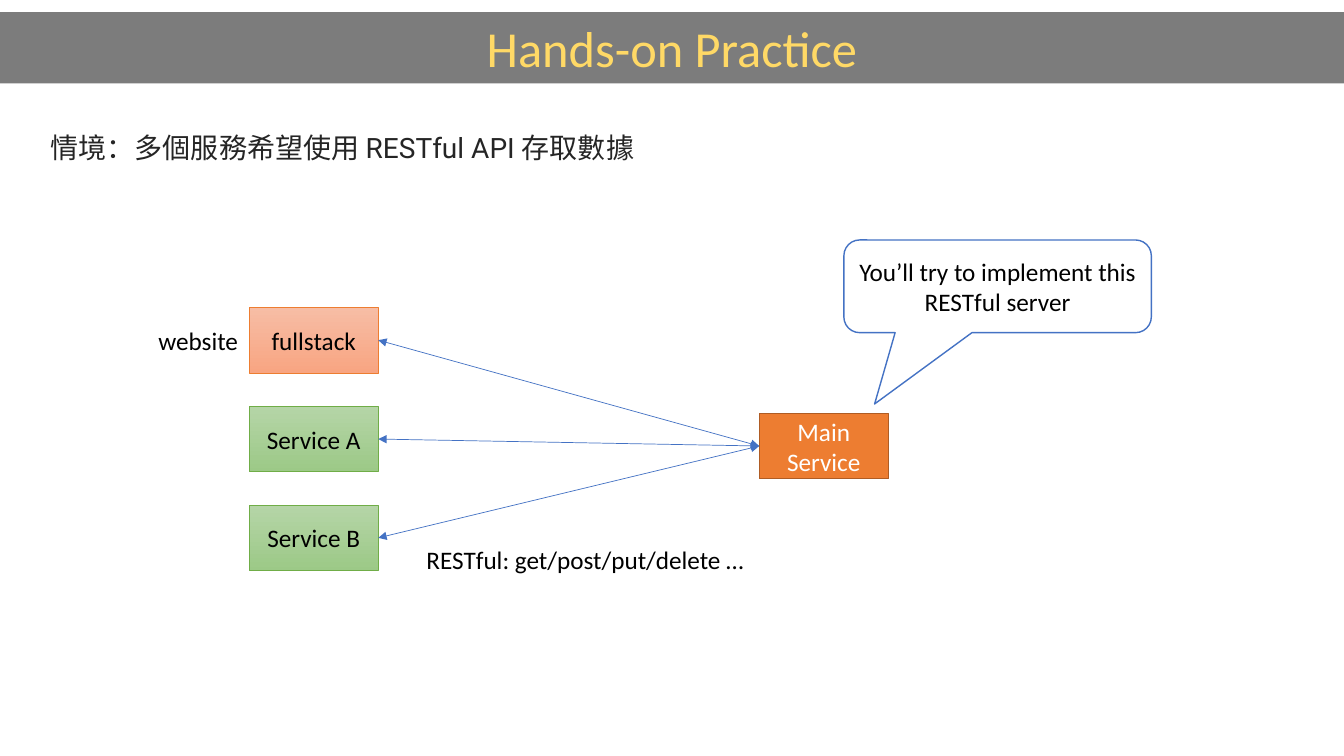
from lxml.etree import SubElement
from pptx import Presentation
from pptx.dml.color import RGBColor
from pptx.enum.shapes import MSO_CONNECTOR, MSO_SHAPE
from pptx.enum.text import MSO_ANCHOR, MSO_AUTO_SIZE, PP_ALIGN
from pptx.oxml.ns import qn
from pptx.util import Pt

GRAY = RGBColor(0x7C, 0x7C, 0x7C)
GOLD = RGBColor(0xFF, 0xD9, 0x66)
INK = RGBColor(0x25, 0x25, 0x25)
BLACK = RGBColor(0, 0, 0)
WHITE = RGBColor(0xFF, 0xFF, 0xFF)
BLUE = RGBColor(0x44, 0x72, 0xC4)
ORANGE = RGBColor(0xED, 0x7D, 0x31)
RUST = RGBColor(0xAF, 0x5C, 0x24)
PEACH = RGBColor(0xF7, 0xBD, 0xA5)
CORAL = RGBColor(0xF8, 0xA5, 0x82)
GREEN = RGBColor(0x70, 0xAD, 0x47)
MINT = RGBColor(0xB5, 0xD5, 0xA7)
LEAF = RGBColor(0x9C, 0xC9, 0x87)

WIDE, HIGH = 92.2, 46.8
PITCH = 70.6
RIGHT, LEFT = 3, 1


def write(shape, text, color=BLACK, size=18, font="Calibri",
          align=PP_ALIGN.CENTER, anchor=MSO_ANCHOR.MIDDLE, wrap=True):
    frame = shape.text_frame
    frame.text = text
    frame.word_wrap = wrap
    frame.auto_size = MSO_AUTO_SIZE.NONE
    frame.vertical_anchor = anchor
    para = frame.paragraphs[0]
    para.alignment = align
    para.line_spacing = 1.0
    para.font.size = Pt(size)
    para.font.name = font
    para.font.color.rgb = color


def add_title(slide, x, y, w, h):
    title = slide.shapes.title
    title.left, title.top, title.width, title.height = map(Pt, (x, y, w, h))
    title.fill.solid()
    title.fill.fore_color.rgb = GRAY
    write(title, "Hands-on Practice", GOLD, 36, anchor=MSO_ANCHOR.TOP)


def add_label(slide, text, x, y, w, h, **style):
    label = slide.shapes.add_textbox(*map(Pt, (x, y, w, h)))
    write(label, text, align=PP_ALIGN.LEFT, anchor=MSO_ANCHOR.TOP, **style)


def add_box(slide, text, x, y, w, h, fills, edge, width,
            color=BLACK, kind=MSO_SHAPE.RECTANGLE):
    box = slide.shapes.add_shape(kind, *map(Pt, (x, y, w, h)))
    box.shadow.inherit = False
    if len(fills) == 1:
        box.fill.solid()
        box.fill.fore_color.rgb = fills[0]
    else:
        box.fill.gradient()
        box.fill.gradient_angle = 270
        for stop, tint in zip(box.fill.gradient_stops, fills):
            stop.color.rgb = tint
    box.line.color.rgb = edge
    box.line.width = Pt(width)
    write(box, text, color)
    return box


def add_link(slide, start, end):
    link = slide.shapes.add_connector(MSO_CONNECTOR.STRAIGHT, 0, 0, 0, 0)
    link.begin_connect(start, RIGHT)
    link.end_connect(end, LEFT)
    link.line.color.rgb = BLUE
    link.line.width = Pt(0.5)
    props = link.line._get_or_add_ln()
    for tag in ("a:headEnd", "a:tailEnd"):
        SubElement(props, qn(tag), type="triangle")
    SubElement(link._element.spPr, qn("a:effectLst"))


def add_flow(slide, x, y):
    clients = (
        ("fullstack", (PEACH, CORAL), ORANGE),
        ("Service A", (MINT, LEAF), GREEN),
        ("Service B", (MINT, LEAF), GREEN),
    )
    boxes = [add_box(slide, text, x, y + row * PITCH, WIDE, HIGH, fills, edge, 0.5)
             for row, (text, fills, edge) in enumerate(clients)]
    main = add_box(slide, "Main Service", x + 364.3, y + 75.6, WIDE, HIGH,
                   (ORANGE,), RUST, 1, WHITE)
    for box in boxes:
        add_link(slide, box, main)
    add_label(slide, "website", x - 72, y + 8.9, 72, 29, wrap=False)
    add_label(slide, "RESTful: get/post/put/delete …", x + 119.5, y + 165.8,
              245, 29, wrap=False)
    note = add_box(slide, "You’ll try to implement this RESTful server",
                   x + 424.8, y - 48.2, 219.6, 66.2, (WHITE,), BLUE, 1,
                   kind=MSO_SHAPE.ROUNDED_RECTANGULAR_CALLOUT)
    for spot, value in enumerate((-0.4, 1.27, 0.17)):
        note.adjustments[spot] = value


def main():
    deck = Presentation()
    deck.slide_width, deck.slide_height = Pt(960), Pt(540)
    slide = deck.slides.add_slide(deck.slide_layouts[5])
    add_title(slide, 0, 8.6, 960, 51)
    add_label(slide, "情境：多個服務希望使用 RESTful API 存取數據", 29.2, 90, 780, 31.5,
              color=INK, size=20, font="Roboto")
    add_flow(slide, 178, 219.6)
    deck.save("out.pptx")


if __name__ == "__main__":
    main()
